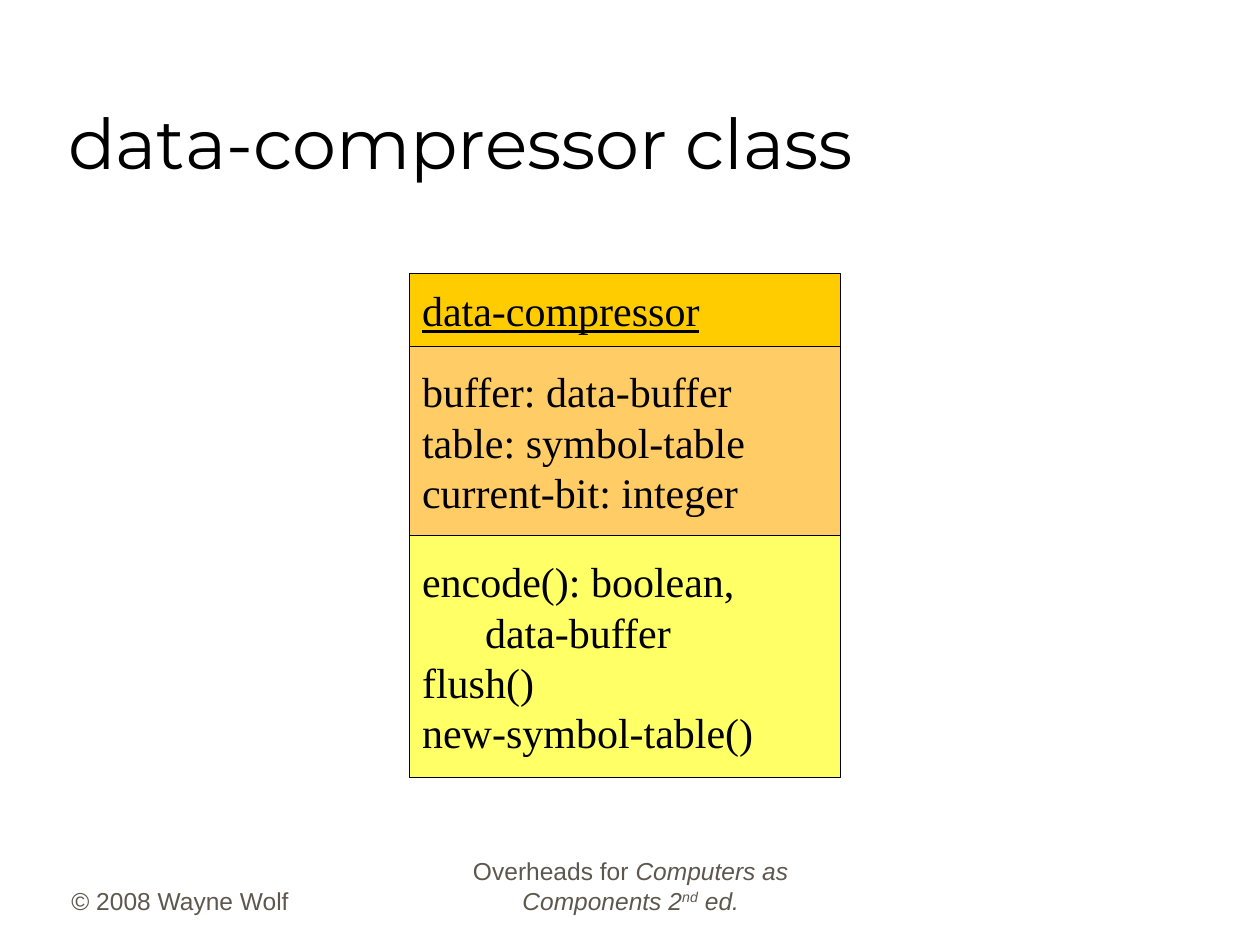
from pptx import Presentation
from pptx.dml.color import RGBColor
from pptx.enum.shapes import MSO_SHAPE
from pptx.enum.text import MSO_ANCHOR, MSO_AUTO_SIZE, PP_ALIGN
from pptx.util import Cm, Pt

BLACK = RGBColor(0x00, 0x00, 0x00)
GREY = RGBColor(0x5E, 0x57, 0x4E)
GOLD = RGBColor(0xFF, 0xCC, 0x00)
ORANGE = RGBColor(0xFF, 0xCC, 0x66)
YELLOW = RGBColor(0xFF, 0xFF, 0x66)

TITLE_FONT = {"name": "Montserrat", "size": Pt(40)}
CLASS_FONT = {"name": "Times New Roman", "size": Pt(24)}
FOOTER_FONT = {"name": "Arial", "size": Pt(14)}


def format_font(font, values, color):
    for name, value in values.items():
        setattr(font, name, value)
    font.color.rgb = color


def format_frame(frame, anchor):
    values = {"word_wrap": True, "auto_size": MSO_AUTO_SIZE.NONE,
              "vertical_anchor": anchor}
    for name, value in values.items():
        setattr(frame, name, value)


deck = Presentation()
deck.slide_width, deck.slide_height = Cm(25.4), Cm(19.05)
page = deck.slides.add_slide(deck.slide_layouts[5])

# Title
title = page.shapes.title
placement = {"left": Cm(1.12), "top": Cm(0.64),
             "width": Cm(21.59), "height": Cm(3.18)}
for name, value in placement.items():
    setattr(title, name, value)
title.text_frame.text = "data-compressor class"
format_frame(title.text_frame, MSO_ANCHOR.BOTTOM)
para = title.text_frame.paragraphs[0]
para.alignment = PP_ALIGN.LEFT
format_font(para.runs[0].font, TITLE_FONT, BLACK)

# Class diagram: name, attributes and operations, stacked
compartments = [
    (1.48, GOLD, True, ["data-compressor"]),
    (3.81, ORANGE, False,
     ["buffer: data-buffer", "table: symbol-table", "current-bit: integer"]),
    (4.87, YELLOW, False,
     ["encode(): boolean,", "\tdata-buffer", "flush()", "new-symbol-table()"]),
]
top = 5.51
for height, fill, underline, lines in compartments:
    box = page.shapes.add_shape(
        MSO_SHAPE.RECTANGLE, Cm(8.26), Cm(top), Cm(8.68), Cm(height))
    box.shadow.inherit = False
    box.fill.solid()
    box.fill.fore_color.rgb = fill
    box.line.color.rgb = BLACK
    box.line.width = Pt(0.75)
    box.text_frame.text = "\n".join(lines)
    format_frame(box.text_frame, MSO_ANCHOR.MIDDLE)
    for para in box.text_frame.paragraphs:
        para.alignment = PP_ALIGN.LEFT
        for span in para.runs:
            format_font(span.font, CLASS_FONT, BLACK)
            if underline:
                span.font.underline = True
    top += height

# Footer: copyright and book title, as (text, italic, superscript) spans
footers = [
    (1.19, 5.28, PP_ALIGN.LEFT, [("© 2008 Wayne Wolf", False, False)]),
    (8.69, 8.05, PP_ALIGN.CENTER, [
        ("Overheads for ", False, False),
        ("Computers as Components 2", True, False),
        ("nd", True, True),
        (" ed.", True, False),
    ]),
]
for left, width, alignment, spans in footers:
    box = page.shapes.add_textbox(Cm(left), Cm(17.3), Cm(width), Cm(1.27))
    format_frame(box.text_frame, MSO_ANCHOR.BOTTOM)
    para = box.text_frame.paragraphs[0]
    para.alignment = alignment
    for text, italic, superscript in spans:
        span = para.add_run()
        span.text = text
        format_font(span.font, FOOTER_FONT, GREY)
        span.font.italic = italic
        if superscript:
            span._r.get_or_add_rPr().set("baseline", "30000")

deck.save("out.pptx")
